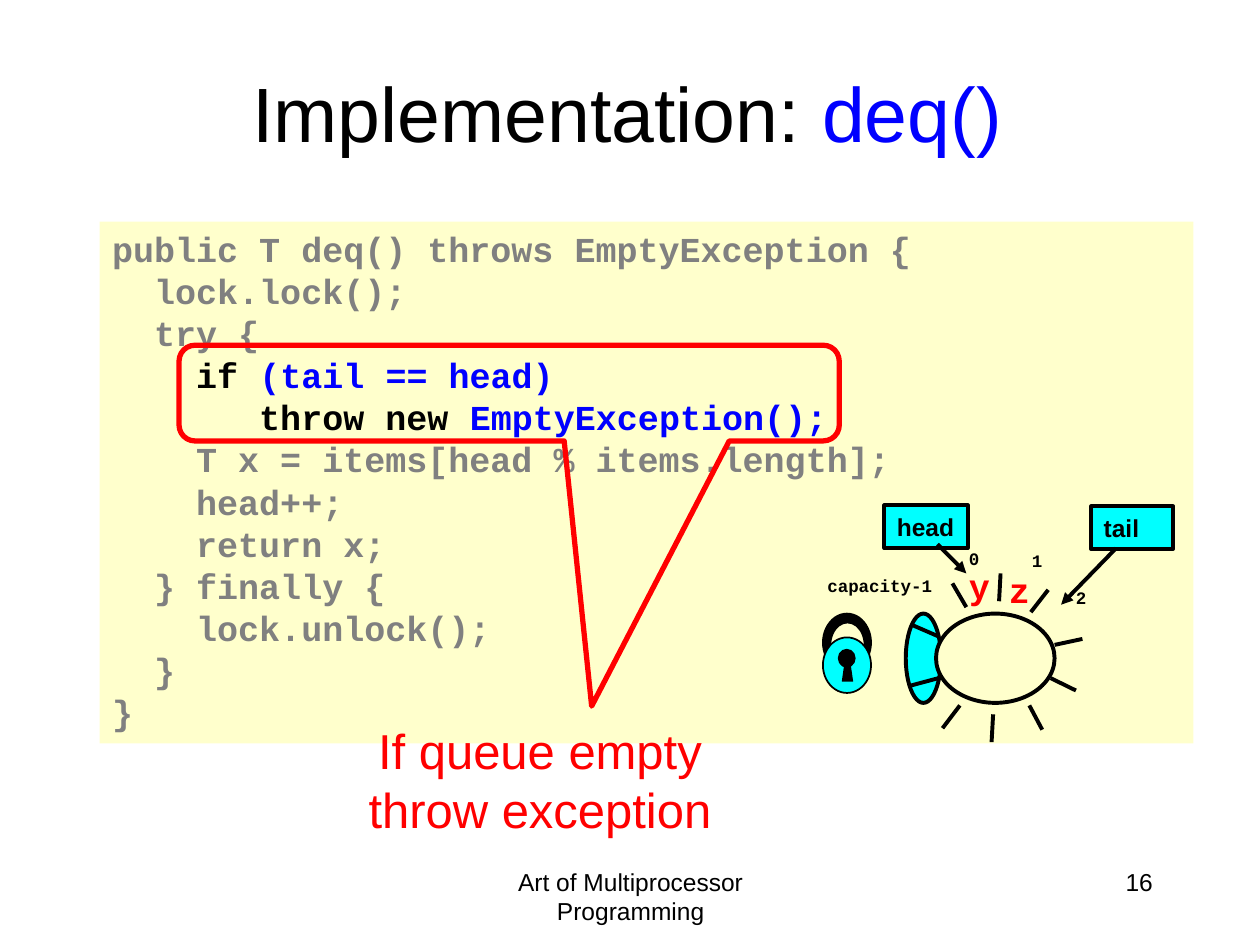
"""Build the slide on the deq() method of a lock-based queue."""
from lxml import etree
from pptx import Presentation
from pptx.dml.color import RGBColor
from pptx.enum.shapes import MSO_CONNECTOR, MSO_SHAPE
from pptx.enum.text import MSO_ANCHOR, PP_ALIGN
from pptx.oxml.ns import qn
from pptx.util import Cm, Pt

RECT, OVAL = MSO_SHAPE.RECTANGLE, MSO_SHAPE.OVAL
CALLOUT = MSO_SHAPE.ROUNDED_RECTANGULAR_CALLOUT
STRAIGHT = MSO_CONNECTOR.STRAIGHT
LEFT, CENTER, RIGHT = PP_ALIGN.LEFT, PP_ALIGN.CENTER, PP_ALIGN.RIGHT
TOP, MIDDLE = MSO_ANCHOR.TOP, MSO_ANCHOR.MIDDLE
SANS, MONO = "Arial", "Courier New"
BLACK, GRAY, BLUE, RED = "000000", "808080", "0000FF", "FF0000"
CREAM, CYAN = "FFFFCC", "00FFFF"

TITLE = [[("Implementation: ", BLACK), ("deq()", BLUE)]]
CODE = [
    [("public T deq() throws EmptyException {", GRAY)],
    [("  lock.lock();", GRAY)],
    [("  try {", GRAY)],
    [("    if ", BLACK), ("(tail == head)", BLUE)],
    [("       throw new ", BLACK), ("EmptyException();", BLUE)],
    [("    T x = items[head % items.length];", GRAY)],
    [("    head++;", GRAY)],
    [("    return x;", GRAY)],
    [("  } finally {", GRAY)],
    [("    lock.unlock();", GRAY)],
    [("  }", GRAY)],
    [("}", GRAY)],
]
NOTE = [[("If queue empty", RED)], [("throw exception", RED)]]
FOOTER = [[("Art of Multiprocessor Programming", BLACK)]]
NUMBER = [[("16", BLACK)]]

RING = [((18.26, 12.37, 0.71, 1.8), CYAN), ((18.87, 12.37, 2.39, 1.8), CREAM)]
SLOT_MARKS = [
    (19, 14.68, 19.35, 14.22), (20.78, 12.34, 21.13, 11.89),
    (21.26, 13, 21.82, 12.88), (18.36, 13.82, 18.92, 13.67),
    (18.39, 12.6, 18.92, 12.83), (21.18, 13.67, 21.69, 13.92),
    (19.2, 11.76, 19.48, 12.24), (20.17, 11.56, 20.14, 12.12),
    (20.75, 14.22, 21.01, 14.71), (20.02, 14.4, 19.99, 14.96),
]
SLOT_LABELS = [
    ("0", (19.28, 10.92, 0.71, 0.69), 10, BLACK),
    ("1", (20.55, 10.97, 0.71, 0.69), 10, BLACK),
    ("capacity-1", (16.43, 11.46, 2.64, 0.69), 10, BLACK),
    ("2", (21.44, 11.71, 0.71, 0.69), 10, BLACK),
    ("y", (19.28, 11.25, 0.94, 1.09), 20, RED),
    ("z", (20.09, 11.33, 0.94, 1.09), 20, RED),
]
POINTERS = [
    ("head", (17.83, 10.19, 1.68, 0.86), (18.9, 10.97, 19.48, 11.56), False),
    ("tail", (22, 10.21, 1.65, 0.86), (22.5, 11.05, 21.39, 12.19), True),
]
LOCK = [
    ((16.59, 12.37, 0.97, 1.17), BLACK, BLACK),
    ((16.74, 12.55, 0.69, 0.91), CREAM, BLACK),
    ((16.59, 12.85, 0.97, 1.12), CYAN, BLACK),
    ((16.89, 13.08, 0.36, 0.38), BLACK, None),
]
KEYHOLE = [(16.97, 13.74), (17.02, 13.39), (17.15, 13.39), (17.2, 13.74)]


def rgb(color):
    return RGBColor.from_string(color)


def cm(values):
    return [Cm(v) for v in values]


def paint(sp, fill=None, line=None, width=2.25):
    sp.shadow.inherit = False
    if fill:
        sp.fill.solid()
        sp.fill.fore_color.rgb = rgb(fill)
    else:
        sp.fill.background()
    if line:
        sp.line.color.rgb = rgb(line)
        sp.line.width = Pt(width)
    else:
        sp.line.fill.background()


def add_shape(s, kind, box, fill=None, line=None, width=2.25):
    sp = s.shapes.add_shape(kind, *cm(box))
    paint(sp, fill, line, width)
    return sp


def write(sp, lines, size, font=SANS, bold=False, align=LEFT, anchor=TOP, wrap=True):
    tf = sp.text_frame
    tf.word_wrap = wrap
    tf.vertical_anchor = anchor
    for i, line in enumerate(lines):
        p = tf.add_paragraph() if i else tf.paragraphs[0]
        p.alignment = align
        for text, color in line:
            r = p.add_run()
            r.text = text
            r.font.name, r.font.size, r.font.bold = font, Pt(size), bold
            r.font.color.rgb = rgb(color)


def add_text(s, box, lines, size, **style):
    write(s.shapes.add_textbox(*cm(box)), lines, size, **style)


def add_line(s, ends, arrow=False):
    ln = s.shapes.add_connector(STRAIGHT, *cm(ends))
    ln.line.color.rgb = rgb(BLACK)
    ln.line.width = Pt(2.25)
    sp_pr = ln._element.spPr
    if arrow:
        etree.SubElement(sp_pr.find(qn("a:ln")), qn("a:tailEnd"), type="triangle")
    etree.SubElement(sp_pr, qn("a:effectLst"))


def add_queue(s):
    for box, fill in RING:
        add_shape(s, OVAL, box, fill, BLACK)
    for ends in SLOT_MARKS:
        add_line(s, ends)
    for name, box, ends, wrap in POINTERS:
        sp = add_shape(s, RECT, box, CYAN, BLACK)
        write(sp, [[(name, BLACK)]], 14, bold=True, wrap=wrap)
        add_line(s, ends, arrow=True)
    for text, box, size, color in SLOT_LABELS:
        add_text(s, box, [[(text, color)]], size, font=MONO, bold=True, wrap=False)


def add_lock(s):
    for box, fill, line in LOCK:
        add_shape(s, OVAL, box, fill, line, 1)
    start, *rest = [cm(point) for point in KEYHOLE]
    builder = s.shapes.build_freeform(*start)
    builder.add_line_segments(rest)
    paint(builder.convert_to_shape(), BLACK)


def main():
    prs = Presentation()
    prs.slide_width, prs.slide_height = Cm(25.4), Cm(19.05)
    s = prs.slides.add_slide(prs.slide_layouts[6])
    code = add_shape(s, RECT, (2.01, 4.47, 22.05, 10.52), CREAM)
    write(code, CODE, 20, font=MONO, bold=True)
    add_text(s, (8.69, 17.35, 8.05, 1.27), FOOTER, 14, align=CENTER)
    add_text(s, (18.21, 17.35, 5.28, 1.27), NUMBER, 14, align=RIGHT)
    add_text(s, (1.85, 0.66, 21.59, 3.18), TITLE, 44, align=CENTER, anchor=MIDDLE)
    callout = add_shape(s, CALLOUT, (3.61, 6.96, 13.31, 1.93), line=RED, width=3)
    for i, value in enumerate((0.125, 3.27, 0.167)):
        callout.adjustments[i] = value
    add_text(s, (4.52, 14.4, 12.73, 2.62), NOTE, 28, align=CENTER)
    add_queue(s)
    add_lock(s)
    prs.save("out.pptx")


if __name__ == "__main__":
    main()
